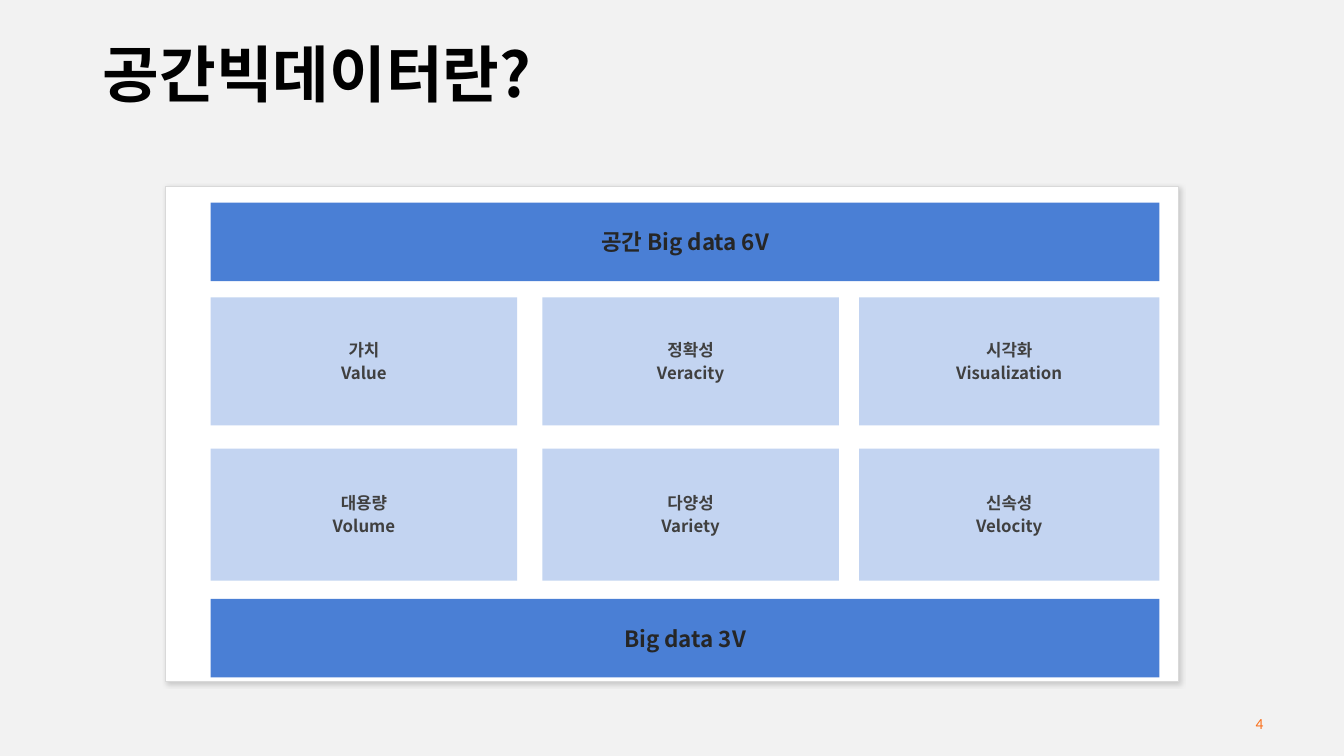
"""Build the slide on the 6V and 3V of spatial big data."""
from lxml import etree
from pptx import Presentation
from pptx import util as u
from pptx.dml.color import RGBColor
from pptx.enum import shapes, text
from pptx.oxml import parse_xml
from pptx.oxml.ns import qn

COLORS = {
    "background": "F2F2F2", "panel": "FFFFFF", "border": "D9D9D9",
    "banner": "4A7FD5", "card": "C3D4F1", "title": "000000",
    "banner_text": "262626", "card_text": "404040", "number": "FA6F1A",
}
KOREAN = "Noto Sans CJK KR"
COLUMNS = [(2.09, 3.04), (5.38, 2.94), (8.52, 2.98)]
ROWS = [(2.95, 1.27), (4.45, 1.31)]
BANNER_LEFT, BANNER_WIDTH, BANNER_HEIGHT = 2.09, 9.41, 0.78
BANNERS = [(2.01, "공간 Big data 6V"), (5.94, "Big data 3V")]
CARDS = [
    [("가치", "Value"), ("정확성", "Veracity"), ("시각화", "Visualization")],
    [("대용량", "Volume"), ("다양성", "Variety"), ("신속성", "Velocity")],
]
SHADOW = (
    '<a:effectLst xmlns:a="http://schemas.openxmlformats.org/drawingml/2006/main">'
    '<a:outerShdw blurRad="38100" dist="25400" dir="2700000" algn="tl" rotWithShape="0">'
    '<a:srgbClr val="000000"><a:alpha val="16000"/></a:srgbClr>'
    '</a:outerShdw></a:effectLst>'
)


def color(name):
    return RGBColor.from_string(COLORS[name])


def inches(*lengths):
    return [u.Inches(length) for length in lengths]


def write(frame, lines, size, color_name, align, font=KOREAN, bold=True, after=0):
    frame.vertical_anchor = text.MSO_ANCHOR.MIDDLE
    frame.text = "\n".join(lines)
    for paragraph in frame.paragraphs:
        paragraph.alignment = align
        paragraph.space_after = u.Pt(after)
        paragraph.font.size = u.Pt(size)
        paragraph.font.bold = bold
        paragraph.font.name = font
        paragraph.font.color.rgb = color(color_name)
        properties = paragraph.font._element
        etree.SubElement(properties, qn("a:ea")).set("typeface", font)


def add_label(slide, box, line, size, color_name, align, **style):
    frame = slide.shapes.add_textbox(*inches(*box)).text_frame
    frame.word_wrap = True
    write(frame, [line], size, color_name, align, **style)
    return frame


def add_block(group, box, fill, kind=shapes.MSO_SHAPE.RECTANGLE):
    shape = group.shapes.add_shape(kind, *inches(*box))
    shape.shadow.inherit = False
    shape.fill.solid()
    shape.fill.fore_color.rgb = color(fill)
    shape.line.fill.background()
    return shape


def add_panel(group):
    panel = add_block(group, (1.64, 1.85, 10.05, 4.91), "panel",
                      shapes.MSO_SHAPE.ROUNDED_RECTANGLE)
    panel.adjustments[0] = 0
    panel.line.color.rgb = color("border")
    panel.line.width = u.Pt(0.75)
    properties = panel._element.spPr
    properties.replace(properties.find(qn("a:effectLst")), parse_xml(SHADOW))


def add_text_block(group, box, fill, lines, size):
    frame = add_block(group, box, fill).text_frame
    frame.word_wrap = False
    frame.margin_left = frame.margin_right = u.Inches(0.04)
    frame.margin_top = frame.margin_bottom = 0
    write(frame, lines, size, f"{fill}_text", text.PP_ALIGN.CENTER, after=2.2)


def main():
    presentation = Presentation()
    presentation.slide_width, presentation.slide_height = inches(13.33, 7.5)
    slide = presentation.slides.add_slide(presentation.slide_layouts[6])
    slide.background.fill.solid()
    slide.background.fill.fore_color.rgb = color("background")

    title = add_label(slide, (0.92, 0.26, 11.5, 1.02), "공간빅데이터란?", 44, "title",
                      text.PP_ALIGN.LEFT)
    title.paragraphs[0].line_spacing = 0.9

    diagram = slide.shapes.add_group_shape()
    add_panel(diagram)
    for top, caption in BANNERS:
        add_text_block(diagram, (BANNER_LEFT, top, BANNER_WIDTH, BANNER_HEIGHT),
                       "banner", [caption], 16)
    for (top, height), cards in zip(ROWS, CARDS):
        for (left, width), lines in zip(COLUMNS, cards):
            add_text_block(diagram, (left, top, width, height), "card", lines, 12)

    add_label(slide, (9.63, 6.98, 3, 0.4), "4", 11, "number", text.PP_ALIGN.RIGHT,
              font="Calibri", bold=False)
    presentation.save("out.pptx")


if __name__ == "__main__":
    main()
